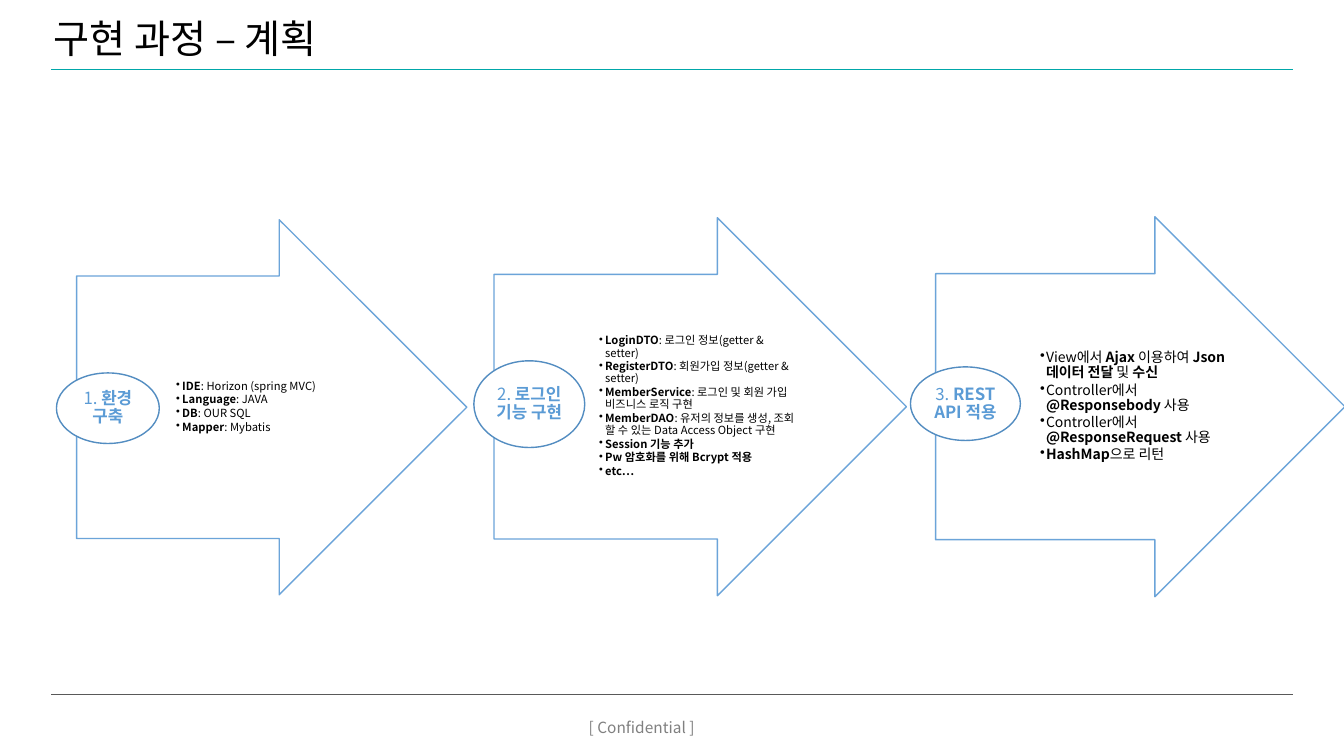
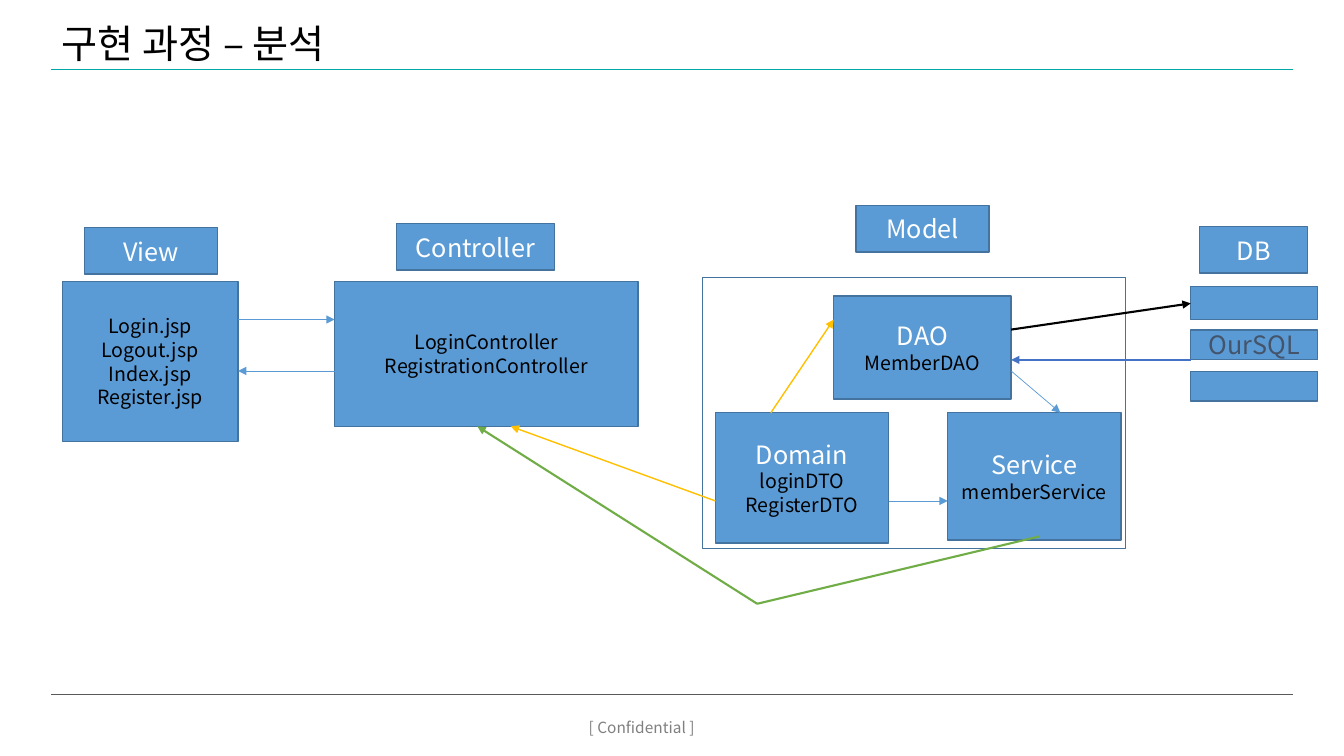
from dataclasses import dataclass

from lxml.etree import SubElement
from pptx import Presentation
from pptx.dml.color import RGBColor
from pptx.enum.shapes import MSO_CONNECTOR as Connector, MSO_SHAPE as Preset
from pptx.enum.text import MSO_ANCHOR as Anchor, MSO_AUTO_SIZE as AutoSize, PP_ALIGN as Align
from pptx.oxml.ns import qn
from pptx.util import Inches, Pt

CELL = 0.1


@dataclass(frozen=True)
class Theme:
    """Colours, font and type sizes of the deck."""
    font: str = "Noto Sans CJK KR"
    ink: str = "000000"
    paper: str = "FFFFFF"
    teal: str = "00A7A9"
    rule: str = "595959"
    muted: str = "808080"
    slate: str = "44546A"
    blue: str = "5B9BD5"
    edge: str = "43739E"
    ring: str = "538DC1"
    royal: str = "4472C4"
    gold: str = "FFC000"
    green: str = "70AD47"
    title: int = 28
    head: int = 18
    detail: int = 14
    badge: int = 12
    footer: int = 11


THEME = Theme()


@dataclass(frozen=True)
class Box:
    """A rectangle measured in grid columns and rows."""
    left: float
    top: float
    width: float
    height: float

    def x(self, share):
        """Return the column at a share of the width."""
        return self.left + share * self.width

    def y(self, share):
        """Return the row at a share of the height."""
        return self.top + share * self.height

    def inner(self, x, y, width, height):
        """Return an inner box given as shares of this one."""
        return Box(self.x(x), self.y(y), width * self.width, height * self.height)

    def lengths(self):
        """Return left, top, width and height as slide lengths."""
        return [grid(n) for n in (self.left, self.top, self.width, self.height)]


def grid(count):
    """Turn a number of grid cells into a length."""
    return Inches(count * CELL)


def assign(target, values):
    """Set each attribute named in a dict."""
    for name, value in values.items():
        setattr(target, name, value)


def rgb(color):
    """Return the colour object of a hex string."""
    return RGBColor.from_string(color)


def write(frame, lines, setup, layout, bullet=False):
    """Fill a frame with (text, size, colour) lines, where asterisks enclose bold text."""
    assign(frame, {"word_wrap": True, "vertical_anchor": Anchor.MIDDLE, **setup})
    for index, (text, size, color) in enumerate(lines):
        para = frame.add_paragraph() if index else frame.paragraphs[0]
        assign(para, layout)
        if bullet:
            props = para._p.get_or_add_pPr()
            props.set("marL", str(Inches(0.06)))
            props.set("indent", str(Inches(-0.06)))
            SubElement(props, qn("a:buChar")).set("char", "•")
        for order, piece in enumerate(text.split("*")):
            if piece:
                span = para.add_run()
                span.text = piece
                span.font.color.rgb = rgb(color)
                assign(span.font, {"name": THEME.font, "size": Pt(size), "bold": order % 2 == 1})
                SubElement(span.font._element, qn("a:ea")).set("typeface", THEME.font)


def margins(left, other):
    """Return the inset values of a text frame."""
    names = ("margin_left", "margin_top", "margin_right", "margin_bottom")
    return dict(zip(names, map(Inches, (left, other, other, other))))


def outline(page, preset, box, fill, line):
    """Draw a flat filled shape with a one-point edge."""
    shape = page.shapes.add_shape(preset, *box.lengths())
    shape.shadow.inherit = False
    shape.fill.solid()
    shape.fill.fore_color.rgb = rgb(fill)
    shape.line.color.rgb = rgb(line)
    shape.line.width = Pt(1)
    return shape


def stroke(page, start, end, color, width, arrow=True):
    """Draw a straight line between two grid points."""
    ends = [grid(n) for n in (*start, *end)]
    link = page.shapes.add_connector(Connector.STRAIGHT, *ends)
    link.line.color.rgb = rgb(color)
    link.line.width = Pt(width)
    props = link.element.spPr
    if arrow:
        SubElement(props.find(qn("a:ln")), qn("a:tailEnd")).set("type", "triangle")
    SubElement(props, qn("a:effectLst"))
    return link


def furnish(page):
    """Put the rules and the footer on the layout that all pages share."""
    bottom = stroke(page, (5.1, 68.9), (128.2, 68.9), THEME.rule, 0.75, False)
    top = stroke(page, (5.1, 6.9), (128.2, 6.9), THEME.teal, 1, False)
    footer = page.shapes.add_textbox(*Box(57.4, 70.7, 12.8, 2.9).lengths())
    write(footer.text_frame, [("[ Confidential ]", THEME.footer, THEME.muted)],
          {"word_wrap": False, "vertical_anchor": Anchor.TOP}, {})
    for shape in (bottom, footer, top):
        page.slide_layout.shapes.element.append(shape.element)


def add_title(page, text, box):
    """Place the title placeholder and fill it."""
    title = page.shapes.title
    assign(title, dict(zip(("left", "top", "width", "height"), box.lengths())))
    write(title.text_frame, [(text, THEME.title, THEME.ink)],
          {"auto_size": AutoSize.NONE}, {"alignment": Align.LEFT, "line_spacing": 0.9})


def step(page, box, badge, label, items, size):
    """Draw an arrow with its bullet list and its round badge."""
    arrow = outline(page, Preset.RIGHT_ARROW, box, THEME.paper, THEME.blue)
    arrow.adjustments[0], arrow.adjustments[1] = 0.7, 0.5
    for color in list(arrow.element.spPr.iter(qn("a:srgbClr"))):
        SubElement(color, qn("a:alpha")).set("val", "90000")
    body = page.shapes.add_textbox(*box.inner(0.25, 0.15, 0.49, 0.7).lengths())
    write(body.text_frame, [(item, size, THEME.ink) for item in items], margins(0.02, 0.01),
          {"line_spacing": 0.9, "space_after": Pt(0.15 * size)}, bullet=True)
    ring = outline(page, Preset.OVAL, badge, THEME.paper, THEME.ring)
    write(ring.text_frame, [(label, THEME.badge, THEME.blue)], margins(0.01, 0.01),
          {"alignment": Align.CENTER, "line_spacing": 0.9})


def node(page, box, head="", details=(), color=THEME.paper):
    """Draw a blue box with a heading and detail lines."""
    shape = outline(page, Preset.RECTANGLE, box, THEME.blue, THEME.edge)
    lines = [(head, THEME.head, color)] if head else []
    lines += [(text, THEME.detail, THEME.ink) for text in details]
    write(shape.text_frame, lines, {}, {"alignment": Align.CENTER})
    return box


def model(page, box):
    """Draw the model region and return its domain, service and DAO boxes."""
    outline(page, Preset.RECTANGLE, box, THEME.paper, THEME.edge)
    domain = node(page, box.inner(0.03, 0.5, 0.41, 0.48), "Domain", ["loginDTO", "RegisterDTO"])
    service = node(page, box.inner(0.58, 0.5, 0.41, 0.47), "Service", ["memberService"])
    dao = node(page, box.inner(0.31, 0.07, 0.42, 0.38), "DAO", ["MemberDAO"])
    return domain, service, dao


def database(page, box):
    """Draw the three bars of the database."""
    for top, height, text in ((0, 0.29, ""), (0.38, 0.26, "OurSQL"), (0.74, 0.26, "")):
        node(page, box.inner(0, top, 1, height), text, color=THEME.slate)
    return box


def plan_page(page):
    """Fill the page of the three planned steps."""
    add_title(page, "구현 과정 – 계획", Box(4.3, -3.2, 115, 14.5))
    step(page, Box(7.6, 21.8, 38.7, 37.2), Box(5.6, 37, 10.2, 7), "1. *환경 구축*", [
        "*IDE*: Horizon (spring MVC)",
        "*Language*: JAVA",
        "*DB*: OUR SQL",
        "*Mapper*: Mybatis",
    ], 8)
    step(page, Box(49, 21.6, 40.9, 37.5), Box(47, 35.8, 11, 8.6), "2. *로그인 기능 구현*", [
        "*LoginDTO*: 로그인 정보(getter & setter)",
        "*RegisterDTO*: 회원가입 정보(getter & setter)",
        "*MemberService*: 로그인 및 회원 가입 비즈니스 로직 구현",
        "*MemberDAO*: 유저의 정보를 생성, 조회 할 수 있는 Data Access Object 구현",
        "*Session 기능 추가*",
        "*Pw 암호화를 위해 Bcrypt 적용*",
        "*etc…*",
    ], 8)
    step(page, Box(92.8, 21.5, 40.6, 37.7), Box(90.3, 36.4, 10.9, 7.3), "3. *REST API 적용*", [
        "View에서 *Ajax *이용하여 *Json 데이터 전달* 및 *수신*",
        "Controller에서 *@Responsebody *사용",
        "Controller에서 *@ResponseRequest *사용",
        "*HashMap*으로 리턴",
    ], 10)


def analysis_page(page):
    """Fill the page of the layers and the calls between them."""
    add_title(page, "구현 과정 – 분석", Box(5.1, -2.7, 115, 14.5))
    for text, left, top, width in (("View", 8.4, 22.6, 13.2), ("Controller", 39.3, 22.2, 15.7),
                                   ("Model", 84.9, 20.4, 13.2), ("DB", 119, 22.5, 10.7)):
        node(page, Box(left, top, width, 4.6), text)
    view = node(page, Box(6.2, 27.9, 17.4, 15.9),
                details=["Login.jsp", "Logout.jsp", "Index.jsp", "Register.jsp"])
    control = node(page, Box(33.2, 27.9, 30.1, 14.4),
                   details=["LoginController", "RegistrationController"])
    domain, service, dao = model(page, Box(69.7, 27.5, 41.9, 26.9))
    store = database(page, Box(118.1, 28.4, 12.6, 11.4))
    request, reply, result, use = 31.7, 36.8, 35.7, 49.7
    bend = (75.1, 59.9)
    for link in (
        ((view.x(1), request), (control.x(0), request), THEME.blue, 0.5),
        ((control.x(0), reply), (view.x(1), reply), THEME.blue, 0.5),
        ((dao.x(1), 32.7), (store.x(0), 30.1), THEME.ink, 1.5),
        ((store.x(0), result), (dao.x(1), result), THEME.royal, 1),
        ((domain.x(0.32), domain.y(0)), (dao.x(0), request), THEME.gold, 1),
        ((domain.x(0), use), (control.x(0.58), control.y(1)), THEME.gold, 1),
        ((domain.x(1), use), (service.x(0), use), THEME.blue, 0.5),
        ((service.x(0.53), service.y(0.97)), bend, THEME.green, 1.5, False),
        (bend, (control.x(0.47), control.y(1)), THEME.green, 1.5),
        ((dao.x(1), reply), (service.x(0.65), service.y(0)), THEME.blue, 0.5),
    ):
        stroke(page, *link)


def main():
    """Build and save the deck."""
    deck = Presentation()
    assign(deck, {"slide_width": Inches(13.33), "slide_height": Inches(7.5)})
    layout = deck.slide_layouts[5]
    plan, analysis = (deck.slides.add_slide(layout) for _ in range(2))
    furnish(plan)
    plan_page(plan)
    analysis_page(analysis)
    deck.save("out.pptx")


if __name__ == "__main__":
    main()
